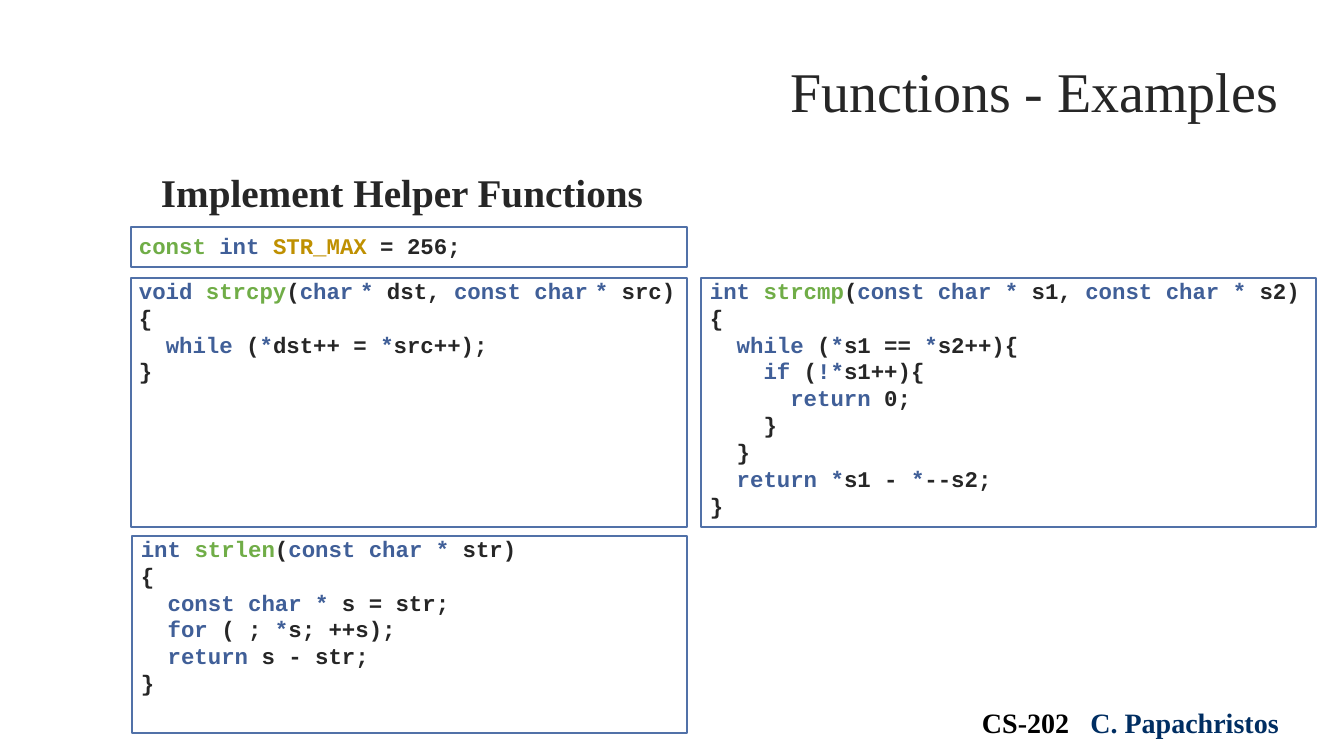
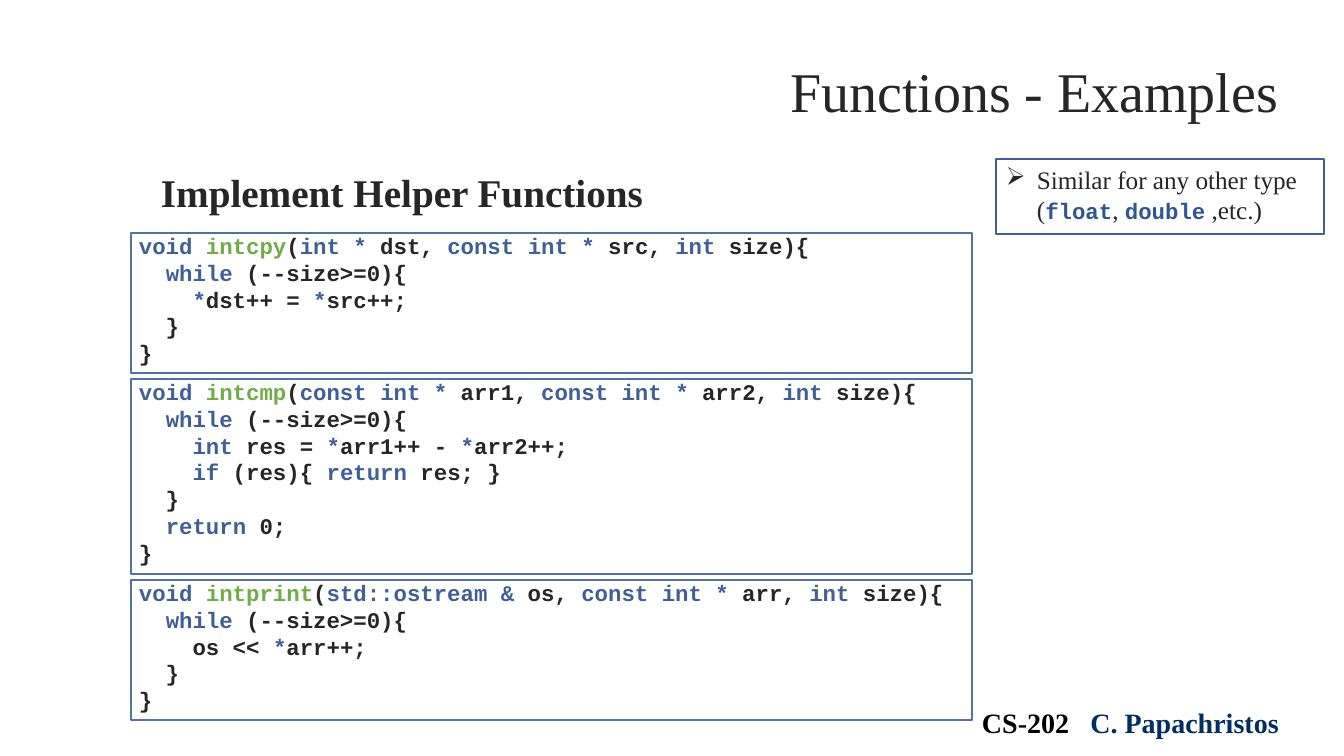
from itertools import groupby

from lxml.etree import SubElement
from pptx import Presentation
from pptx.dml.color import RGBColor
from pptx.enum.shapes import MSO_SHAPE
from pptx.enum.text import MSO_ANCHOR, PP_ALIGN
from pptx.oxml.ns import qn
from pptx.util import Emu, Pt

COLORS = {
    "text": "262626",
    "keyword": "405F98",
    "function": "70AD47",
    "constant": "BF9000",
    "type": "2F5597",
    "frame": "5171A8",
    "course": "000000",
    "author": "002E62",
}
SERIF = "Times New Roman"
MONO = "Courier New"
CODE_SIZE = 16
NARROW_SPACE = "~"
KEYWORDS = "void int char const while if for return std::ostream".split()
FUNCTIONS = "strcpy strcmp strlen intcpy intcmp intprint".split()
TOKEN_COLORS = {
    **dict.fromkeys(KEYWORDS, "keyword"),
    **dict.fromkeys(FUNCTIONS, "function"),
    "STR_MAX": "constant",
}

STR_MAX = "const int STR_MAX = 256;"
STRCPY = """void strcpy(char~* dst, const char~* src)
{
  while (*dst++ = *src++);
}"""
STRCMP = """int strcmp(const char * s1, const char * s2)
{
  while (*s1 == *s2++){
    if (!*s1++){
      return 0;
    }
  }
  return *s1 - *--s2;
}"""
STRLEN = """int strlen(const char * str)
{
  const char * s = str;
  for ( ; *s; ++s);
  return s - str;
}"""
INTCPY = """void intcpy(int * dst, const int * src, int size){
  while (--size>=0){
    *dst++ = *src++;
  }
}"""
INTCMP = """void intcmp(const int * arr1, const int * arr2, int size){
  while (--size>=0){
    int res = *arr1++ - *arr2++;
    if (res){ return res; }
  }
  return 0;
}"""
INTPRINT = """void intprint(std::ostream & os, const int * arr, int size){
  while (--size>=0){
    os << *arr++;
  }
}"""


def px(length):
    return Emu(round(length * 914400 / 100.8))


def style(font, color=None, size=None, name=None, bold=None):
    if color:
        font.color.rgb = RGBColor.from_string(COLORS[color])
    if size:
        font.size = Pt(size)
    if name:
        font.name = name
    if bold is not None:
        font.bold = bold


def add_run(paragraph, text, **look):
    run = paragraph.add_run()
    run.text = text
    style(run.font, **look)
    return run


def add_text_box(slide, box):
    frame = slide.shapes.add_textbox(*map(px, box)).text_frame
    frame.word_wrap = True
    return frame


def add_frame(slide, box, color="frame"):
    shape = slide.shapes.add_shape(MSO_SHAPE.RECTANGLE, *map(px, box))
    shape.shadow.inherit = False
    shape.fill.background()
    shape.line.color.rgb = RGBColor.from_string(COLORS[color])
    shape.line.width = Pt(1.5)


def token_kind(char):
    if char.isalnum() or char in "_:":
        return "word"
    if char in "*!&":
        return "operator"
    return "narrow" if char == NARROW_SPACE else "plain"


def code_tokens(line, colors):
    for kind, chars in groupby(line, token_kind):
        token = "".join(chars)
        if kind == "narrow":
            yield " ", ("keyword", CODE_SIZE / 2)
        elif kind == "operator":
            yield token, ("keyword", None)
        else:
            yield token, (colors.get(token, "text"), None)


def add_code_panel(slide, box, code, shift=2, rise=6, tints=None):
    left, top, width, height = box
    text_box = (left - shift, top - rise, width + 2 * shift, height + rise)
    text_frame = add_text_box(slide, text_box)
    colors = {**TOKEN_COLORS, **(tints or {})}
    for index, line in enumerate(code.split("\n")):
        paragraph = text_frame.add_paragraph() if index else text_frame.paragraphs[0]
        style(paragraph.font, size=CODE_SIZE, name=MONO, bold=True)
        for look, tokens in groupby(code_tokens(line, colors), lambda token: token[1]):
            color, size = look
            add_run(paragraph, "".join(text for text, _ in tokens), color=color, size=size)
    add_frame(slide, box)


def add_title(slide, text):
    frame = add_text_box(slide, (107, 57, 1181, 72))
    frame.vertical_anchor = MSO_ANCHOR.BOTTOM
    paragraph = frame.paragraphs[0]
    paragraph.text = text
    paragraph.alignment = PP_ALIGN.RIGHT
    style(paragraph.font, "text", 40, SERIF)


def add_heading(slide, text):
    paragraph = add_text_box(slide, (151, 159, 1152, 528)).paragraphs[0]
    paragraph.text = text
    paragraph.line_spacing = 1.1
    style(paragraph.font, "text", 28, SERIF, True)


def add_footer(slide):
    paragraph = add_text_box(slide, (957, 701, 347, 44)).paragraphs[0]
    paragraph.alignment = PP_ALIGN.CENTER
    style(paragraph.font, size=20, name=SERIF, bold=True)
    add_run(paragraph, "CS-202", color="course")
    gap = add_run(paragraph, " ")
    gap.font._element.set("spc", "1000")
    add_run(paragraph, "C. Papachristos", color="author")


def add_note(slide, box, parts):
    paragraph = add_text_box(slide, box).paragraphs[0]
    properties = paragraph._p.get_or_add_pPr()
    properties.set("marL", str(px(31)))
    properties.set("indent", str(-px(31)))
    SubElement(properties, qn("a:buChar")).set("char", "➢")
    for text, is_code in parts:
        if is_code:
            add_run(paragraph, text, color="type", size=CODE_SIZE, name=MONO, bold=True)
        else:
            add_run(paragraph, text, color="text", size=18, name=SERIF)
    add_frame(slide, box, "keyword")


def add_example_slide(presentation):
    slide = presentation.slides.add_slide(presentation.slide_layouts[6])
    add_title(slide, "Functions - Examples")
    add_footer(slide)
    add_heading(slide, "Implement Helper Functions")
    return slide


def build_string_slide(presentation):
    slide = add_example_slide(presentation)
    add_code_panel(slide, (131, 227, 556, 40), STR_MAX, rise=0, tints={"const": "function"})
    add_code_panel(slide, (131, 278, 556, 249), STRCPY)
    add_code_panel(slide, (701, 278, 615, 249), STRCMP, shift=1)
    add_code_panel(slide, (132, 536, 555, 197), STRLEN, shift=1)


def build_integer_slide(presentation):
    slide = add_example_slide(presentation)
    top = 233
    for code, height in ((INTCPY, 140), (INTCMP, 195), (INTPRINT, 140)):
        add_code_panel(slide, (131, top, 841, height), code)
        top += height + 6
    add_note(slide, (996, 159, 328, 75), [
        ("Similar for any other type (", False),
        ("float", True),
        (", ", False),
        ("double", True),
        (" ,etc.)", False),
    ])


def main():
    presentation = Presentation()
    presentation.slide_width = px(1344)
    presentation.slide_height = px(756)
    build_string_slide(presentation)
    build_integer_slide(presentation)
    presentation.save("out.pptx")


main()
